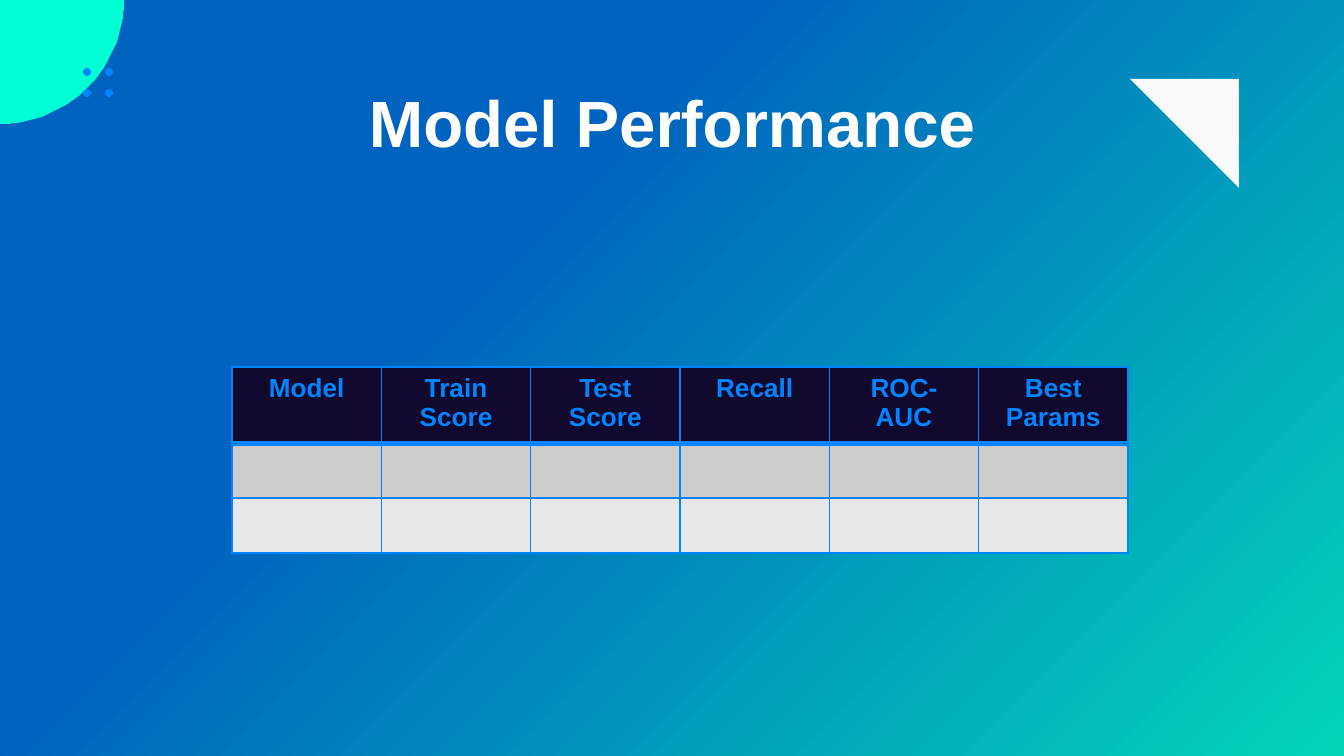
import itertools
import math

import lxml.etree
import pptx
import pptx.dml.color
import pptx.enum.shapes
import pptx.enum.text
import pptx.oxml.ns
import pptx.util

EMU_PER_PX = 914400 / 134.4
FONT = "Arial"
BLUE = "0084FF"
HEADINGS = ["Model", "Train Score", "Test Score", "Recall", "ROC-AUC", "Best Params"]
ROW_FILLS = ["10092D", "CCCCCD", "E7E7E8"]
RULE_WIDTHS = [1, 3, 1, 1]


def px(length):
    """Turn pixels into EMU."""
    return pptx.util.Emu(round(length * EMU_PER_PX))


def rgb(value):
    """Turn a hex string into a colour."""
    return pptx.dml.color.RGBColor.from_string(value)


def apply(target, formats):
    """Set each format value on the target."""
    for name, value in formats.items():
        setattr(target, name, value)


def paint(shape, colour):
    """Give a shape a flat fill without line or shadow."""
    shape.fill.solid()
    shape.fill.fore_color.rgb = rgb(colour)
    shape.line.fill.background()
    shape.shadow.inherit = False


def write(frame, text, size, colour):
    """Write one bold centred paragraph."""
    paragraph = frame.paragraphs[0]
    paragraph.alignment = pptx.enum.text.PP_ALIGN.CENTER
    run = paragraph.add_run()
    run.text = text
    apply(run.font, {"name": FONT, "size": pptx.util.Pt(size), "bold": True})
    run.font.color.rgb = rgb(colour)


def draw_outline(slide, points, colour):
    """Draw a closed filled outline through points in pixels."""
    builder = slide.shapes.build_freeform(*points[0], scale=EMU_PER_PX)
    builder.add_line_segments(points[1:], close=True)
    paint(builder.convert_to_shape(), colour)


def add_background(slide):
    """Fill the slide with a diagonal gradient."""
    fill = slide.background.fill
    fill.gradient()
    fill.gradient_angle = 315
    for stop, (position, colour) in zip(fill.gradient_stops, [(0.35, "0063BF"), (1, "03D4B8")]):
        stop.position = position
        stop.color.rgb = rgb(colour)


def add_corner(slide, left, top, radius):
    """Draw the quarter disc and its four dots."""
    angles = [math.radians(degree) for degree in range(0, 91, 2)]
    arc = [(left + radius * math.cos(a), top + radius * math.sin(a)) for a in angles]
    draw_outline(slide, [(left, top)] + arc, "00FFD5")
    for row, column in itertools.product(range(2), repeat=2):
        dot = slide.shapes.add_shape(
            pptx.enum.shapes.MSO_SHAPE.OVAL,
            px(left + 83 + 22 * column), px(top + 68 + 21 * row), px(8), px(8))
        paint(dot, BLUE)


def add_triangle(slide, left, top, side):
    """Draw the right triangle with its square corner at top right."""
    right = left + side
    draw_outline(slide, [(right, top), (left, top), (right, top + side)], "FAFAFA")


def add_title(slide, left, top, width, height):
    """Place the slide title."""
    title = slide.shapes.add_textbox(px(left), px(top), px(width), px(height))
    sides = ("left", "right", "top", "bottom")
    apply(title.text_frame, {f"margin_{side}": pptx.util.Inches(0.1) for side in sides})
    apply(title.text_frame, {
        "word_wrap": True, "vertical_anchor": pptx.enum.text.MSO_ANCHOR.MIDDLE})
    write(title.text_frame, "Model Performance", 35, "FFFFFF")


def rule_cell(cell, widths):
    """Draw cell borders from widths in points by side."""
    qn = pptx.oxml.ns.qn
    properties = cell._tc.get_or_add_tcPr()
    for side, width in widths.items():
        line = lxml.etree.SubElement(properties, qn(f"a:ln{side}"), w=str(pptx.util.Pt(width)))
        fill = lxml.etree.SubElement(line, qn("a:solidFill"))
        lxml.etree.SubElement(fill, qn("a:srgbClr"), val=BLUE)


def add_scores(slide, left, top, width, height):
    """Place the score table with headings over empty rows."""
    table = slide.shapes.add_table(
        len(ROW_FILLS), len(HEADINGS), px(left), px(top), px(width), px(height)).table
    apply(table, {"first_row": True, "horz_banding": False})
    for row, column in itertools.product(range(len(ROW_FILLS)), range(len(HEADINGS))):
        cell = table.cell(row, column)
        rule_cell(cell, {"L": 1, "R": 1, "T": RULE_WIDTHS[row], "B": RULE_WIDTHS[row + 1]})
        cell.fill.solid()
        cell.fill.fore_color.rgb = rgb(ROW_FILLS[row])
        if row == 0:
            write(cell.text_frame, HEADINGS[column], 14, BLUE)


def main():
    """Build the slide and save it."""
    deck = pptx.Presentation()
    apply(deck, {"slide_width": px(1344), "slide_height": px(756)})
    slide = deck.slides.add_slide(deck.slide_layouts[6])
    add_background(slide)
    add_corner(slide, 0, 0, 124)
    add_triangle(slide, 1130, 79, 109)
    add_title(slide, 106, 79, 1133, 85)
    add_scores(slide, 232, 367, 896, 165)
    deck.save("out.pptx")


if __name__ == "__main__":
    main()
